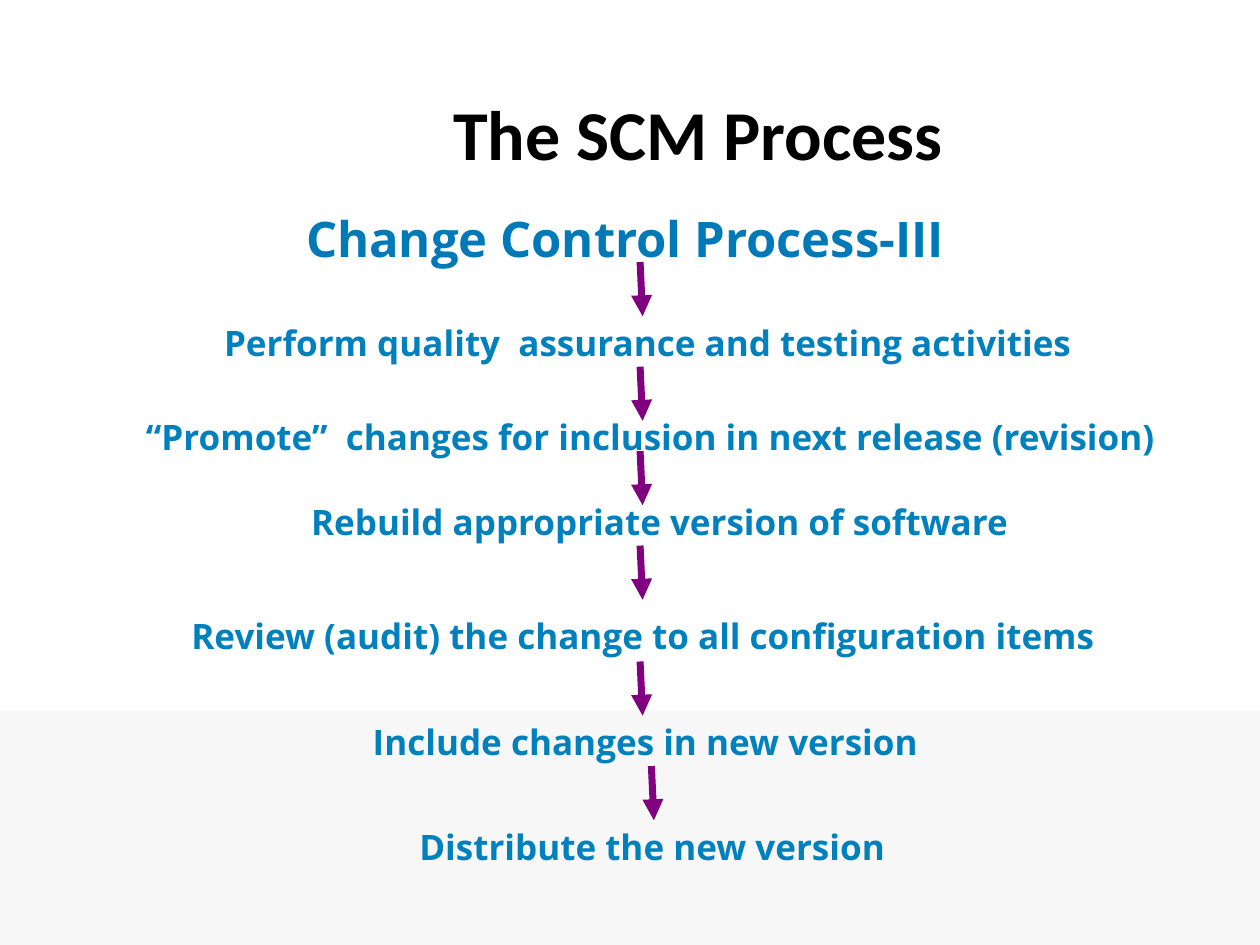
from dataclasses import dataclass

from lxml import etree
from pptx import Presentation
from pptx import util as u
from pptx.dml.color import RGBColor
from pptx.enum import shapes, text
from pptx.oxml import ns

BLUE, TITLE_BLUE, PURPLE = "0081BD", "0079B8", "800080"
BLACK, LIGHT_GRAY = "000000", "F7F7F7"
STEP_HEIGHT = 0.43
ARROW_X, ARROW_SHIFT, ARROW_DROP = 5.08, 0.02, 0.43


@dataclass
class Step:
    label: str
    left: float
    top: float
    width: float
    arrow_top: float  # start of the arrow leading to this step
    arrow_left: float = ARROW_X


STEPS = [
    Step("Perform quality  assurance and testing activities", 1.68, 2.5, 6.93, 2.08),
    Step("“Promote”  changes for inclusion in next release (revision)", 1.06, 3.25, 8.24, 2.91),
    Step("Rebuild appropriate version of software", 2.37, 3.92, 5.75, 3.58),
    Step("Review (audit) the change to all configuration items", 1.42, 4.83, 7.39, 4.33),
    Step("Include changes in new version", 2.86, 5.67, 4.53, 5.25),
    Step("Distribute the new version", 3.23, 6.5, 3.9, 6.08, 5.17),
]


def color(value: str) -> RGBColor:
    return RGBColor.from_string(value)


def write(shape, label: str, size: int, font_name: str, font_color: str) -> None:
    shape.text_frame.text = label
    font = shape.text_frame.paragraphs[0].runs[0].font
    font.size, font.name, font.bold = u.Pt(size), font_name, True
    font.color.rgb = color(font_color)


def add_text(slide, label: str, left: float, top: float, width: float, height: float,
             size: int, font_name: str, font_color: str, wrap: bool) -> None:
    box = slide.shapes.add_textbox(u.Inches(left), u.Inches(top), u.Inches(width), u.Inches(height))
    write(box, label, size, font_name, font_color)
    box.text_frame.word_wrap = wrap
    box.text_frame.auto_size = text.MSO_AUTO_SIZE.SHAPE_TO_FIT_TEXT


def add_arrow(slide, left: float, top: float) -> None:
    arrow = slide.shapes.add_connector(
        shapes.MSO_CONNECTOR.STRAIGHT, u.Inches(left), u.Inches(top),
        u.Inches(left + ARROW_SHIFT), u.Inches(top + ARROW_DROP))
    arrow.line.width = u.Pt(4)
    arrow.line.color.rgb = color(PURPLE)
    properties = arrow.line._get_or_add_ln()
    etree.SubElement(properties, ns.qn("a:tailEnd"), type="triangle")
    etree.SubElement(properties.getparent(), ns.qn("a:effectLst"))


def add_band(slide, top: float, height: float) -> None:
    band = slide.shapes.add_shape(
        shapes.MSO_SHAPE.RECTANGLE, 0, u.Inches(top), u.Inches(10), u.Inches(height))
    band.shadow.inherit = False
    band.fill.solid()
    band.fill.fore_color.rgb = color(LIGHT_GRAY)
    band.line.fill.background()


def main() -> None:
    presentation = Presentation()
    presentation.slide_width, presentation.slide_height = u.Inches(10), u.Inches(7.5)
    slide = presentation.slides.add_slide(presentation.slide_layouts[5])

    # Footer band
    add_band(slide, 5.64, 1.86)

    # Heading and title
    add_text(slide, "The SCM Process", 3.5, 0.67, 6.17, 0.77, 40, "Calibri", BLACK, True)
    title = slide.shapes.title
    title.left, title.top = u.Inches(1.42), u.Inches(1.5)
    title.width, title.height = u.Inches(7.08), u.Inches(0.78)
    write(title, "Change Control Process-III", 28, "Open Sans", TITLE_BLUE)
    title.text_frame.auto_size = text.MSO_AUTO_SIZE.NONE
    title.text_frame.vertical_anchor = text.MSO_ANCHOR.MIDDLE
    title.text_frame.paragraphs[0].alignment = text.PP_ALIGN.CENTER

    # Process steps, each with the arrow above it
    for step in STEPS:
        add_text(slide, step.label, step.left, step.top, step.width, STEP_HEIGHT,
                 20, "Open Sans", BLUE, False)
        add_arrow(slide, step.arrow_left, step.arrow_top)

    presentation.save("out.pptx")


if __name__ == "__main__":
    main()
